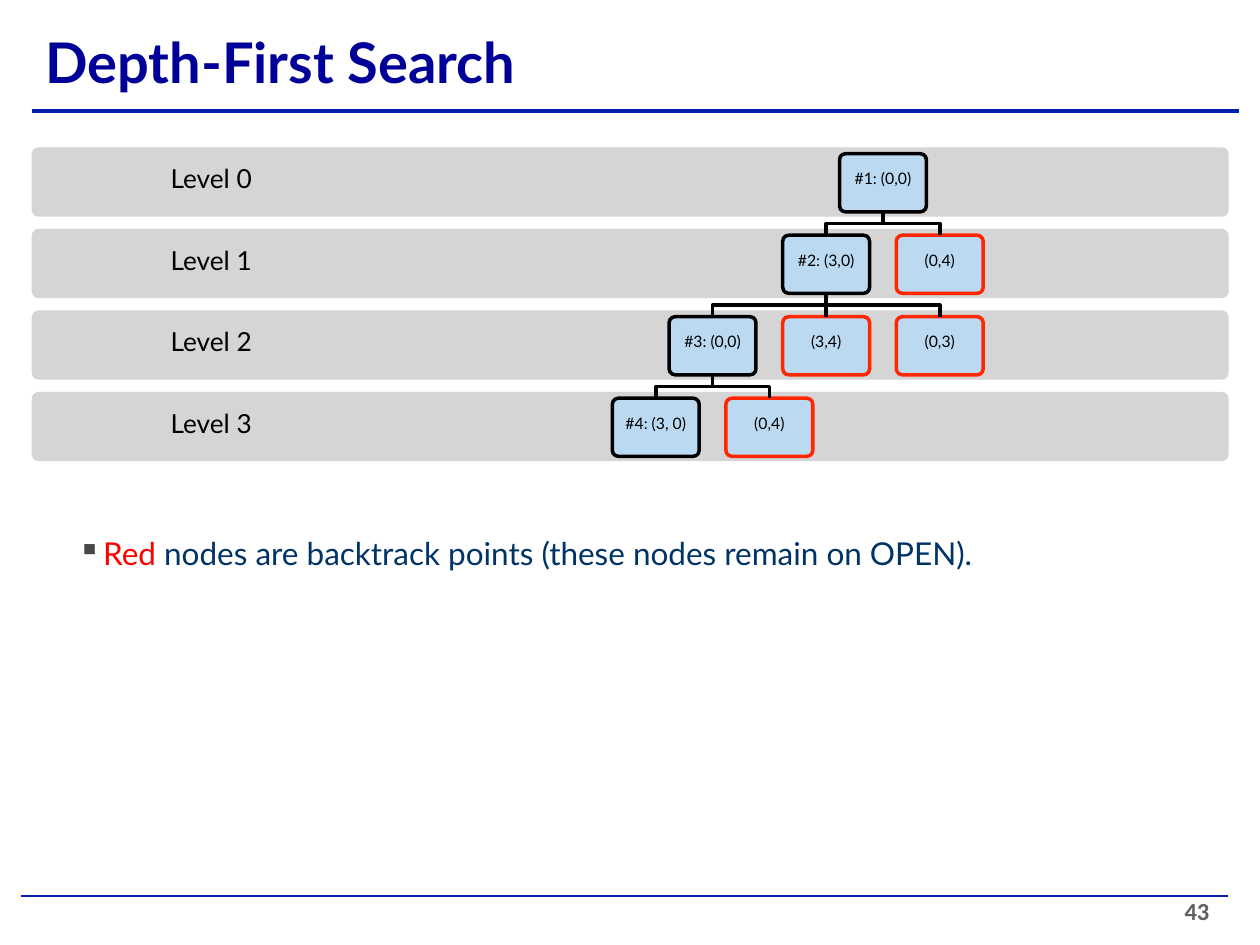
from lxml.etree import SubElement
from pptx import Presentation
from pptx.dml.color import RGBColor
from pptx.enum.shapes import MSO_CONNECTOR as Connector, MSO_SHAPE as Shape
from pptx.enum.text import MSO_ANCHOR as Anchor, PP_ALIGN as Align
from pptx.oxml.ns import qn
from pptx.util import Cm, Pt

BLACK, RED, RULE_BLUE = "000000", "FF2600", "021EAA"

# Level bars and the tree grid, in cm
LEVEL_COUNT, LEVEL_TOP, LEVEL_PITCH = 4, 2.97, 1.643
BAR_LEFT, BAR_WIDTH, BAR_HEIGHT = 0.64, 24.13, 1.4
ROOT_X, HALF_STEP = 17.8, 1.145
NODE_WIDTH, NODE_HEIGHT, NODE_OFFSET = 1.75, 1.17, 0.13

# key: (label, level, half steps from the root, parent, line colour)
NODES = {
    "root": ("#1: (0,0)", 0, 0, None, BLACK),
    "second": ("#2: (3,0)", 1, -1, "root", BLACK),
    "third": ("#3: (0,0)", 2, -3, "second", BLACK),
    "fourth": ("#4: (3, 0)", 3, -4, "third", BLACK),
    "third_right": ("(0,4)", 3, -2, "third", RED),
    "second_middle": ("(3,4)", 2, -1, "second", RED),
    "second_right": ("(0,3)", 2, 1, "second", RED),
    "root_right": ("(0,4)", 1, 1, "root", RED),
}


def color(hex_string):
    return RGBColor.from_string(hex_string)


def set_font(font, size, hex_string, name="Lato", bold=False):
    font.name, font.size, font.bold = name, Pt(size), bold
    font.color.rgb = color(hex_string)


def set_insets(frame, left=0, top=0, bottom=0):
    frame.margin_left, frame.margin_top = Cm(left), Cm(top)
    frame.margin_right, frame.margin_bottom = Cm(0), Cm(bottom)


def add_text(slide, left, top, width, height, text=""):
    box = slide.shapes.add_textbox(Cm(left), Cm(top), Cm(width), Cm(height))
    frame = box.text_frame
    frame.word_wrap = True
    set_insets(frame)
    paragraph = frame.paragraphs[0]
    paragraph.text = text
    return paragraph


def add_rounded(slide, left, top, width, height, fill, text, size, align, inset_left, inset_bottom):
    shape = slide.shapes.add_shape(
        Shape.ROUNDED_RECTANGLE, Cm(left), Cm(top), Cm(width), Cm(height))
    shape.adjustments[0] = 0.1
    shape.shadow.inherit = False
    shape.fill.solid()
    shape.fill.fore_color.rgb = color(fill)
    shape.line.fill.background()
    frame = shape.text_frame
    frame.vertical_anchor = Anchor.MIDDLE
    set_insets(frame, left=inset_left, bottom=inset_bottom)
    paragraph = frame.paragraphs[0]
    paragraph.text = text
    paragraph.alignment = align
    set_font(paragraph.font, size, BLACK)
    return shape


def set_line(shape, hex_string, width):
    shape.line.color.rgb = color(hex_string)
    shape.line.width = Pt(width)


def add_line(slide, x1, y1, x2, y2, hex_string, width):
    line = slide.shapes.add_connector(Connector.STRAIGHT, x1, y1, x2, y2)
    set_line(line, hex_string, width)
    SubElement(line._element.spPr, qn("a:effectLst"))
    return line


def add_level(slide, level):
    add_rounded(slide, BAR_LEFT, LEVEL_TOP + level * LEVEL_PITCH, BAR_WIDTH, BAR_HEIGHT,
                "D5D5D5", f"Level {level}", 15, Align.LEFT, 2.76, 0.16)


def add_node(slide, label, level, half_steps, line_color):
    left = ROOT_X + half_steps * HALF_STEP - NODE_WIDTH / 2
    top = LEVEL_TOP + level * LEVEL_PITCH + NODE_OFFSET
    node = add_rounded(slide, left, top, NODE_WIDTH, NODE_HEIGHT,
                       "BBDAF2", label, 9, Align.CENTER, 0, 0.18)
    set_line(node, line_color, 2)
    return node


def add_link(slide, parent, child):
    x1, y1 = parent.left + parent.width // 2, parent.top + parent.height
    x2, y2 = child.left + child.width // 2, child.top
    if x1 == x2:
        link = add_line(slide, x1, y1, x2, y2, BLACK, 2)
        link.begin_connect(parent, 2)
        link.end_connect(child, 0)
        return
    middle = (y1 + y2) // 2
    builder = slide.shapes.build_freeform(x1, y1)
    builder.add_line_segments([(x1, middle), (x2, middle), (x2, y2)], close=False)
    link = builder.convert_to_shape()
    link.shadow.inherit = False
    link.fill.background()
    set_line(link, BLACK, 2)


def add_tree(slide):
    shapes = {}
    for key, (label, level, half_steps, parent, line_color) in NODES.items():
        shapes[key] = add_node(slide, label, level, half_steps, line_color)
        if parent:
            add_link(slide, shapes[parent], shapes[key])


def add_bullet_note(slide):
    paragraph = add_text(slide, 1.5, 10.77, 18.8, 0.97)
    for text, hex_string in (("Red ", "FF0000"),
                             ("nodes are backtrack points (these nodes remain on OPEN).", "003366")):
        run = paragraph.add_run()
        run.text = text
        set_font(run.font, 18, hex_string)
    properties = paragraph._p.get_or_add_pPr()
    properties.set("marL", str(Cm(0.58)))
    properties.set("indent", str(Cm(-0.51)))
    bullet_color = SubElement(properties, qn("a:buClr"))
    SubElement(bullet_color, qn("a:srgbClr"), val="474747")
    SubElement(properties, qn("a:buChar"), char="▪")


def main():
    presentation = Presentation()
    presentation.slide_width, presentation.slide_height = Cm(25.4), Cm(19.05)
    slide = presentation.slides.add_slide(presentation.slide_layouts[6])

    # Header and footer rules
    for left, top, width in ((0.64, 2.23, 2.25), (0.43, 18.06, 1)):
        add_line(slide, Cm(left), Cm(top), Cm(left + 24.33), Cm(top), RULE_BLUE, width)

    # Title and page number
    title = add_text(slide, 0.91, 0.56, 20.88, 1.37, "Depth-First Search")
    set_font(title.font, 32, "000099", bold=True)
    number = add_text(slide, 23.88, 18.06, 0.94, 0.69, "43")
    set_font(number.font, 14, "5F5F5F", "Calibri", bold=True)

    # Search tree on its level bars
    for level in range(LEVEL_COUNT):
        add_level(slide, level)
    add_tree(slide)

    add_bullet_note(slide)
    presentation.save("out.pptx")


if __name__ == "__main__":
    main()
